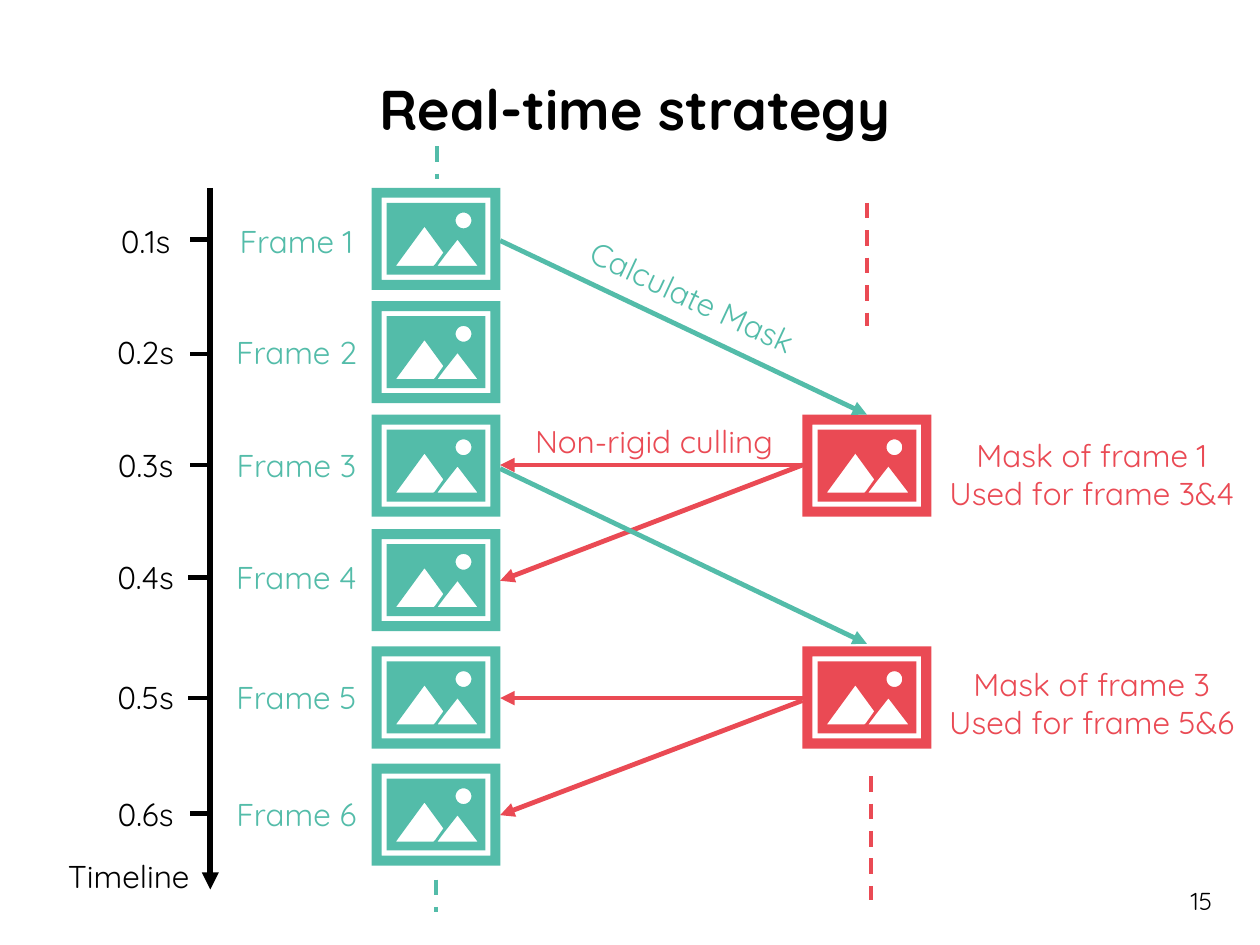
import math

import pptx
import pptx.dml.color
import pptx.enum.dml
import pptx.enum.text
import pptx.oxml
import pptx.oxml.ns
import pptx.util

Pt = pptx.util.Pt
Align = pptx.enum.text.PP_ALIGN
BLACK = pptx.dml.color.RGBColor(0x00, 0x00, 0x00)
TEAL = pptx.dml.color.RGBColor(0x53, 0xBC, 0xA9)
RED = pptx.dml.color.RGBColor(0xEA, 0x4A, 0x54)

FRAME_LEFT, FRAME_RIGHT = 212.4, 285.8
MASK_LEFT, MASK_CENTER = 458.6, 495.4
AXIS_X = 120.2
FRAMES = [
    (107.3, 123.1, 136.8, AXIS_X),
    (172.1, 186.5, 202.3, AXIS_X),
    (236.9, 251.3, 265.7, AXIS_X),
    (302.4, 315.4, 329.8, 118.8),
    (369.4, 383.8, 398.9, 118.8),
    (436.3, 450.7, 465.1, AXIS_X),
]
MASKS = [(236.9, 245.5, "1", "3&4"), (369.4, 376.6, "3", "5&6")]
ARROWS = [
    (MASK_LEFT, 265.7, FRAME_RIGHT, 265.7, RED),
    (MASK_LEFT, 265.7, FRAME_RIGHT, 331.9, RED),
    (FRAME_RIGHT, 137.5, MASK_CENTER, 236.9, TEAL),
    (FRAME_RIGHT, 267.8, MASK_CENTER, 367.9, TEAL),
    (MASK_LEFT, 398.9, FRAME_RIGHT, 398.9, RED),
    (MASK_LEFT, 400.3, FRAME_RIGHT, 465.8, RED),
]
CONTINUATIONS = [
    (MASK_CENTER, 115.9, 186.5, RED),
    (497.5, 443.5, 514.1, RED),
    (249.1, 502.6, 521.3, TEAL),
    (249.8, 83.5, 102.2, TEAL),
]


def rectangle(left, top, right, bottom):
    return [(left, top), (right, top), (right, bottom), (left, bottom)]


BORDER = [rectangle(0, 0, 73.6, 58.3), rectangle(5.7, 5.7, 67.9, 52.6)]
SUN = [
    (52.5 + 4.5 * math.cos(math.tau * step / 36), 18.7 + 4.5 * math.sin(math.tau * step / 36))
    for step in range(36)
]
SCENERY = [
    rectangle(8.6, 8.6, 65, 49.7),
    [(60.5, 44.6), (37.6, 44.6), (41.9, 38.9), (49.1, 29.7)],
    SUN,
    [(30.2, 22.3), (41, 37.1), (36.2, 43.9), (35.4, 44.6), (13.9, 44.6)],
]


class TimelineSlide:
    """Holds the typeface and slide, and draws each kind of element."""

    def __init__(self, slide, typeface):
        self.slide = slide
        self.typeface = typeface

    def style(self, frame, size, color, align, bold=False):
        for paragraph in frame.paragraphs:
            paragraph.alignment = align
            for run in paragraph.runs:
                run.font.name = self.typeface
                run.font.size = Pt(size)
                run.font.bold = bold
                run.font.color.rgb = color

    def title(self, wording, left, top, width, height):
        heading = self.slide.shapes.title
        heading.left, heading.top = Pt(left), Pt(top)
        heading.width, heading.height = Pt(width), Pt(height)
        heading.text_frame.text = wording
        heading.text_frame.vertical_anchor = pptx.enum.text.MSO_ANCHOR.MIDDLE
        self.style(heading.text_frame, 32, BLACK, Align.CENTER, bold=True)

    def label(self, wording, left, top, width, height=28.8, color=BLACK, rotation=0):
        box = self.slide.shapes.add_textbox(Pt(left), Pt(top), Pt(width), Pt(height))
        box.rotation = rotation
        box.text_frame.text = wording
        box.text_frame.word_wrap = False
        box.text_frame.auto_size = pptx.enum.text.MSO_AUTO_SIZE.SHAPE_TO_FIT_TEXT
        self.style(box.text_frame, 18, color, Align.CENTER)

    def page_number(self, number, left, top, width, height):
        box = self.slide.shapes.add_textbox(Pt(left), Pt(top), Pt(width), Pt(height))
        box.text_frame.text = str(number)
        box.text_frame.word_wrap = True
        self.style(box.text_frame, 14, BLACK, Align.RIGHT)

    def icon(self, left, top, color):
        group = self.slide.shapes.add_group_shape()
        for contours in (SCENERY, BORDER):
            outline = None
            for contour in contours:
                points = [(Pt(left + x), Pt(top + y)) for x, y in contour]
                if outline is None:
                    outline = group.shapes.build_freeform(*points[0])
                else:
                    outline.move_to(*points[0])
                outline.add_line_segments(points[1:], close=True)
            part = outline.convert_to_shape()
            part.shadow.inherit = False
            part.fill.solid()
            part.fill.fore_color.rgb = color
            part.line.fill.background()

    def line(self, x1, y1, x2, y2, color, weight=2.75, arrow=False, dashed=False):
        connector = self.slide.shapes.add_connector(
            pptx.enum.shapes.MSO_CONNECTOR.STRAIGHT, Pt(x1), Pt(y1), Pt(x2), Pt(y2)
        )
        connector.line.color.rgb = color
        connector.line.width = Pt(weight)
        if dashed:
            connector.line.dash_style = pptx.enum.dml.MSO_LINE.DASH
        properties = connector._element.spPr
        if arrow:
            head = pptx.oxml.parse_xml(
                f'<a:tailEnd {pptx.oxml.ns.nsdecls("a")} type="triangle"/>'
            )
            properties.find(pptx.oxml.ns.qn("a:ln")).append(head)
        properties.append(
            pptx.oxml.parse_xml(f'<a:effectLst {pptx.oxml.ns.nsdecls("a")}/>')
        )


def main():
    deck = pptx.Presentation()
    deck.slide_width, deck.slide_height = Pt(720), Pt(540)
    strategy = TimelineSlide(deck.slides.add_slide(deck.slide_layouts[5]), "Quicksand")

    strategy.title("Real-time strategy", 41.8, 21.6, 642.2, 80.6)
    strategy.page_number(15, 532.1, 502.6, 167.8, 37.4)

    strategy.line(AXIS_X, 107.3, AXIS_X, 508.3, BLACK, weight=3.25, arrow=True)
    strategy.label("Timeline", 31, 486, 85)
    for number, (icon_top, label_top, tick_y, tick_x) in enumerate(FRAMES, 1):
        strategy.icon(FRAME_LEFT, icon_top, TEAL)
        strategy.line(tick_x, tick_y, tick_x - 11.5, tick_y, BLACK)
        strategy.label(f"0.{number}s", 59.8, label_top, 46.8)
        strategy.label(f"Frame {number}", 126.9, label_top, 85, color=TEAL)

    for icon_top, label_top, origin, users in MASKS:
        strategy.icon(MASK_LEFT, icon_top, RED)
        strategy.label(
            f"Mask of frame {origin}\nUsed for frame {users}",
            532.8, label_top, 182.2, 51.1, RED,
        )

    for x1, y1, x2, y2, color in ARROWS:
        strategy.line(x1, y1, x2, y2, color, arrow=True)
    strategy.label("Calculate Mask", 316.8, 155.5, 157.7, color=TEAL, rotation=25.1)
    strategy.label("Non-rigid culling", 295.2, 237.6, 157, color=RED)

    for x, top, bottom, color in CONTINUATIONS:
        strategy.line(x, top, x, bottom, color, weight=2.25, dashed=True)

    deck.save("out.pptx")


if __name__ == "__main__":
    import pptx.enum.shapes

    main()
